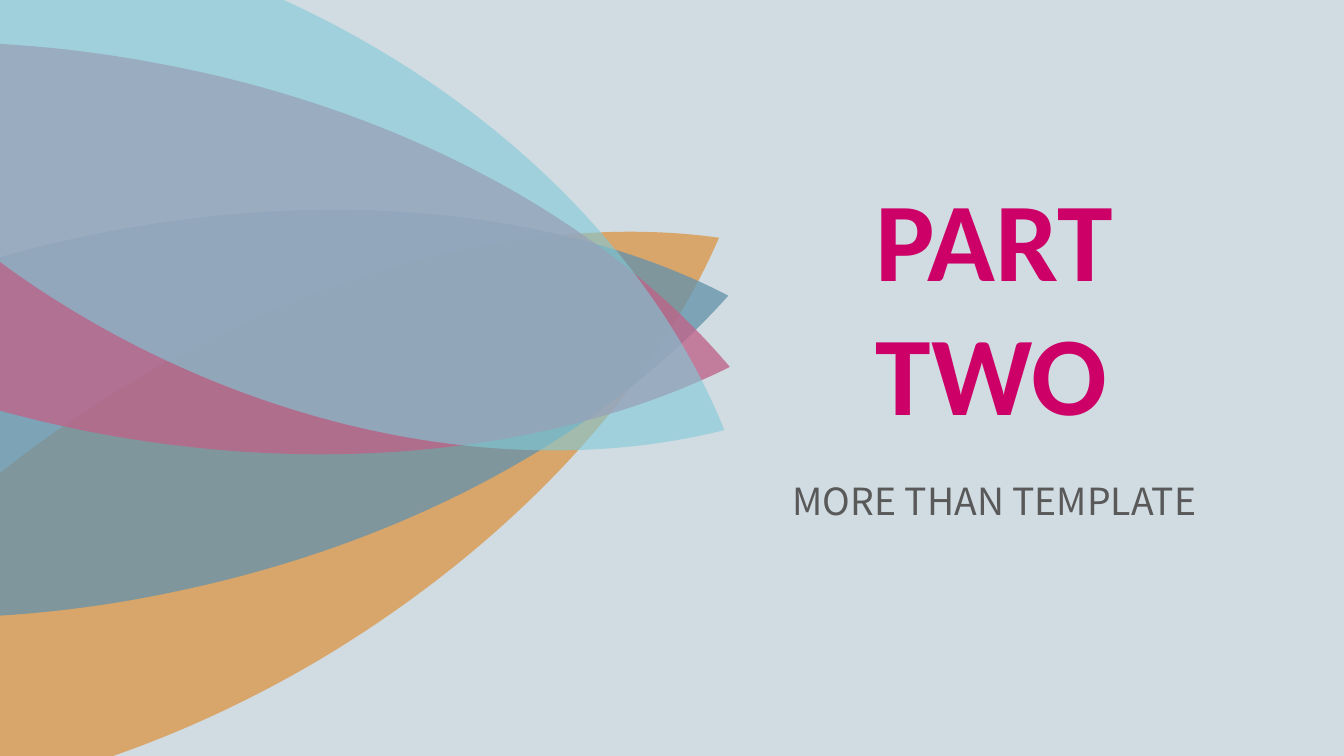
from lxml import etree
from pptx import Presentation
from pptx.dml.color import RGBColor
from pptx.enum.text import MSO_ANCHOR, MSO_AUTO_SIZE, PP_ALIGN
from pptx.oxml.ns import qn
from pptx.util import Pt

LEFT, CENTER = PP_ALIGN.LEFT, PP_ALIGN.CENTER
TOP = MSO_ANCHOR.TOP
NO_AUTOFIT = MSO_AUTO_SIZE.NONE

PAGE_WIDTH, PAGE_HEIGHT = 720, 405
BACKGROUND = "D1DCE2"
UNITS_PER_POINT = 100

TITLE = "PART\nTWO"
SUBTITLE = "MORE THAN TEMPLATE"

# Each petal: fill, opacity in percent, start point, then four Bézier
# curves of two control points and an end point, in points.
PETALS = [
    ("DB9649", 78, (-142.6, 429.8), [
        [(-50.4, 442.8), (64.8, 416.9), (173.5, 352.1)],
        [(275, 290.9), (349.9, 208.8), (385.2, 127.4)],
        [(293.8, 114.5), (177.8, 140.4), (69.8, 205.2)],
        [(-32.4, 266.4), (-106.6, 348.5), (-142.6, 429.8)],
    ]),
    ("6694AB", 78, (390.2, 158.4), [
        [(301, 112.3), (174.2, 98.6), (41.8, 127.4)],
        [(-82.1, 154.1), (-185.8, 213.1), (-249.8, 285.1)],
        [(-160.6, 330.5), (-33.8, 344.9), (97.9, 316.1)],
        [(222.5, 289.4), (326.2, 230.4), (390.2, 158.4)],
    ]),
    ("BF638A", 78, (391, 196.6), [
        [(325.4, 118.8), (213.8, 56.9), (79.9, 33.1)],
        [(-46.1, 10.1), (-164.9, 25.9), (-252, 69.8)],
        [(-186.5, 146.9), (-74.9, 209.5), (59, 233.3)],
        [(185, 255.6), (303.8, 239.8), (391, 196.6)],
    ]),
    ("80CAD7", 61, (388.1, 230.4), [
        [(352.1, 141.1), (271.4, 56.9), (159.8, 3.6)],
        [(55.4, -46.1), (-54, -57.6), (-142.6, -35.3)],
        [(-106.6, 53.3), (-25.9, 138.2), (85.7, 191.5)],
        [(190.1, 241.2), (299.5, 252.7), (388.1, 230.4)],
    ]),
]


def paint(color_format, color):
    color_format.rgb = RGBColor.from_string(color)


def add_petal(page, color, opacity, start, curves):
    """Draw a closed outline whose sides are cubic Bézier curves."""
    points = [tuple(round(value * UNITS_PER_POINT) for value in point)
              for curve in curves for point in curve]
    first_x, first_y = (round(value * UNITS_PER_POINT) for value in start)
    builder = page.shapes.build_freeform(
        first_x, first_y, scale=Pt(1) / UNITS_PER_POINT)
    builder.add_line_segments(points, close=True)
    petal = builder.convert_to_shape()

    # Every three straight segments become one curve.
    segments = list(petal._element.iter(qn("a:lnTo")))
    for index in range(0, 3 * len(curves), 3):
        curve = etree.Element(qn("a:cubicBezTo"))
        segments[index].addprevious(curve)
        for segment in segments[index:index + 3]:
            curve.append(segment[0])
            segment.getparent().remove(segment)

    petal.shadow.inherit = False
    petal.line.fill.background()
    petal.fill.solid()
    paint(petal.fill.fore_color, color)
    solid_color = petal._element.spPr.find(qn("a:solidFill"))[0]
    etree.SubElement(solid_color, qn("a:alpha"), val=str(opacity * 1000))


def set_text(box, text, font, size, color, bold, alignment):
    frame = box.text_frame
    frame.text = text
    frame.word_wrap = True
    frame.auto_size = NO_AUTOFIT
    frame.vertical_anchor = TOP
    for para in frame.paragraphs:
        para.alignment = alignment
        for span in para.runs:
            span.font.name = font
            span.font.size = Pt(size)
            span.font.bold = bold
            paint(span.font.color, color)


def main():
    deck = Presentation()
    deck.slide_width, deck.slide_height = Pt(PAGE_WIDTH), Pt(PAGE_HEIGHT)
    page = deck.slides.add_slide(deck.slide_layouts[5])
    page.background.fill.solid()
    paint(page.background.fill.fore_color, BACKGROUND)

    for petal in PETALS:
        add_petal(page, *petal)

    title = page.shapes.title
    title.left, title.top = Pt(462), Pt(87.1)
    title.width, title.height = Pt(141.8), Pt(223.2)
    set_text(title, TITLE, "Calibri", 60, "CC0066", True, LEFT)

    subtitle = page.shapes.add_textbox(
        Pt(409.7), Pt(252.7), Pt(246.2), Pt(31.7))
    set_text(subtitle, SUBTITLE, "Noto Sans CJK SC", 20, "595959",
             False, CENTER)

    deck.save("out.pptx")


if __name__ == "__main__":
    main()
